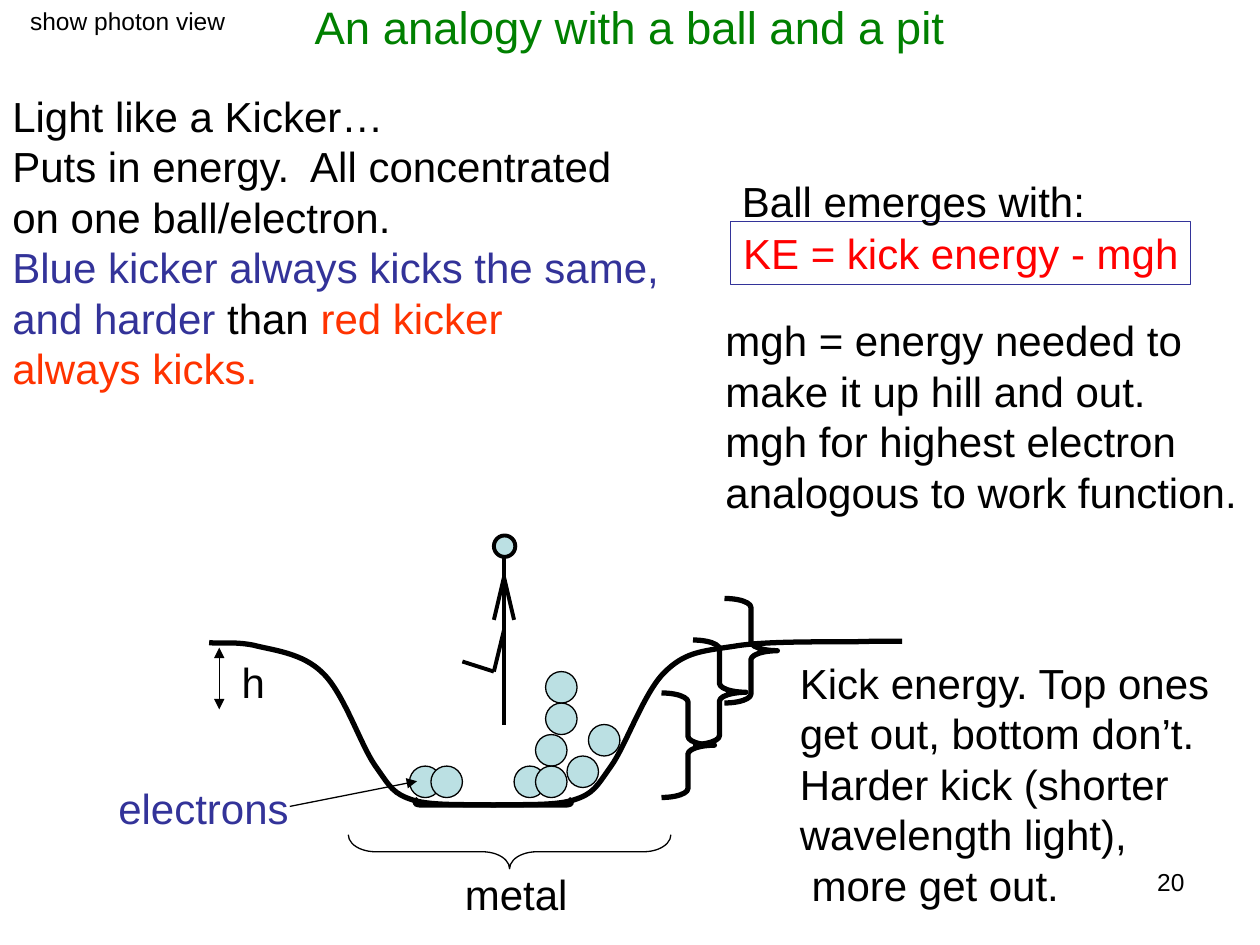
"""Build the slide comparing photoemission with kicking balls out of a pit."""
from dataclasses import dataclass

import pptx
import pptx.dml.color
import pptx.enum.shapes
import pptx.enum.text
import pptx.oxml
import pptx.oxml.ns
import pptx.util
from pptx.util import Inches

SHAPE = pptx.enum.shapes.MSO_SHAPE
ALIGN = pptx.enum.text.PP_ALIGN
FIT = pptx.enum.text.MSO_AUTO_SIZE
Point = tuple[float, float]


@dataclass(frozen=True)
class Theme:
    font: str = "Arial"
    black: str = "000000"
    green: str = "008000"
    blue: str = "333399"
    orange: str = "FF3300"
    red: str = "FF0000"
    ball: str = "BBE0E3"
    title: float = 26
    body: float = 24
    small: float = 14
    thin: float = 0.75
    limb: float = 2.25
    heavy: float = 3


THEME = Theme()


@dataclass(frozen=True)
class Run:
    text: str
    color: str = THEME.black


@dataclass(frozen=True)
class Note:
    left: float
    top: float
    width: float
    height: float
    lines: list[list[Run]]
    size: float = THEME.body
    align: ALIGN = ALIGN.LEFT
    border: str | None = None


@dataclass(frozen=True)
class Stroke:
    start: Point
    end: Point
    weight: float = THEME.limb
    arrows: tuple[str, ...] = ()


@dataclass(frozen=True)
class Outline:
    kind: SHAPE
    left: float
    top: float
    width: float
    height: float
    weight: float
    fill: str | None = None
    bend: float | None = None
    rotation: float = 0


def rgb(color: str) -> pptx.dml.color.RGBColor:
    """Turn a hex colour into a colour object."""
    return pptx.dml.color.RGBColor.from_string(color)


def drawing_element(tag: str, attributes: str = ""):
    """Make an empty drawing element."""
    return pptx.oxml.parse_xml(f'<a:{tag} {pptx.oxml.ns.nsdecls("a")} {attributes}/>')


def plain(*lines: str) -> list[list[Run]]:
    """Make one black run per line."""
    return [[Run(line)] for line in lines]


def write(frame, lines: list[list[Run]], size: float, align: ALIGN) -> None:
    """Write coloured lines into a text frame."""
    for number, runs in enumerate(lines):
        paragraph = frame.add_paragraph() if number else frame.paragraphs[0]
        paragraph.alignment = align
        for part in runs:
            run = paragraph.add_run()
            run.text = part.text
            font_format = {"name": THEME.font, "size": pptx.util.Pt(size)}
            for key, value in font_format.items():
                setattr(run.font, key, value)
            run.font.color.rgb = rgb(part.color)


def draw_note(shapes, note: Note) -> None:
    """Draw a text box, bordered when the note asks for it."""
    box = shapes.add_textbox(*map(Inches, (note.left, note.top, note.width, note.height)))
    right = note.align == ALIGN.RIGHT
    frame_format = {
        "word_wrap": right,
        "auto_size": FIT.NONE if right else FIT.SHAPE_TO_FIT_TEXT,
        "margin_right": Inches(0.1 if right else 0.05)}
    for key, value in frame_format.items():
        setattr(box.text_frame, key, value)
    write(box.text_frame, note.lines, note.size, note.align)
    if note.border:
        box.line.color.rgb = rgb(note.border)
        box.line.width = pptx.util.Pt(THEME.thin)


def ink(shape, weight: float, fill: str | None = None) -> None:
    """Give a shape a black line, an optional fill and no shadow."""
    shape.shadow.inherit = False
    shape.line.color.rgb = rgb(THEME.black)
    shape.line.width = pptx.util.Pt(weight)
    if fill:
        shape.fill.solid()
        shape.fill.fore_color.rgb = rgb(fill)
    else:
        shape.fill.background()


def draw_outline(shapes, item: Outline) -> None:
    """Draw a ball, a head or a brace."""
    bounds = map(Inches, (item.left, item.top, item.width, item.height))
    shape = shapes.add_shape(item.kind, *bounds)
    shape.rotation = item.rotation
    if item.bend is not None:
        shape.adjustments[0] = item.bend
    ink(shape, item.weight, item.fill)


def draw_stroke(shapes, stroke: Stroke) -> None:
    """Draw a straight line with its arrowheads."""
    ends = map(Inches, (*stroke.start, *stroke.end))
    line = shapes.add_connector(pptx.enum.shapes.MSO_CONNECTOR.STRAIGHT, *ends)
    line.line.color.rgb = rgb(THEME.black)
    line.line.width = pptx.util.Pt(stroke.weight)
    for tag in stroke.arrows:
        line.line._get_or_add_ln().append(drawing_element(tag, 'type="triangle"'))
    line._element.spPr.append(drawing_element("effectLst"))


def draw_curve(shapes, knots: list[Point]) -> None:
    """Draw a chain of cubic Bézier segments as one open outline."""
    builder = shapes.build_freeform(*map(Inches, knots[0]), scale=1.0)
    builder.add_line_segments([tuple(map(Inches, knot)) for knot in knots[1:]], close=False)
    shape = builder.convert_to_shape()
    segments = list(shape._element.iter(pptx.oxml.ns.qn("a:lnTo")))
    for first in range(0, len(segments), 3):
        bezier = drawing_element("cubicBezTo")
        segments[first].addprevious(bezier)
        for segment in segments[first:first + 3]:
            bezier.append(segment[0])
            segment.getparent().remove(segment)
    ink(shape, THEME.heavy)


RIGHT_SLOPE = [
    (3.32, 6.34), (3.32, 6.35), (3.25, 6.38), (3.34, 6.39), (3.44, 6.39), (3.68, 6.39),
    (3.88, 6.39), (4.09, 6.38), (4.39, 6.4), (4.55, 6.35), (4.71, 6.3), (4.73, 6.25),
    (4.85, 6.08), (4.97, 5.91), (5.11, 5.5), (5.27, 5.34), (5.43, 5.18), (5.55, 5.17),
    (5.82, 5.13), (6.1, 5.08), (6.69, 5.1), (6.91, 5.09), (7.13, 5.09), (7.17, 5.09), (7.16, 5.09)]
LEFT_SLOPE = [
    (4.51, 6.34), (4.51, 6.35), (4.58, 6.38), (4.49, 6.39), (4.4, 6.39), (4.15, 6.39),
    (3.95, 6.39), (3.75, 6.38), (3.44, 6.4), (3.28, 6.35), (3.12, 6.3), (3.1, 6.25),
    (2.98, 6.08), (2.86, 5.91), (2.73, 5.5), (2.56, 5.34), (2.4, 5.18), (2.16, 5.16),
    (2.01, 5.12), (1.86, 5.09), (1.73, 5.11), (1.66, 5.1)]
HIP, SHOULDER = (4, 5), (4, 4.58)
KNEE = (3.92, 5.33)
LIMBS = [
    Stroke(HIP, (4, 5.75)), Stroke(HIP, KNEE), Stroke((3.67, 5.25), KNEE),
    Stroke((4, 4.25), HIP), Stroke(SHOULDER, (3.92, 4.92)), Stroke(SHOULDER, (4.08, 4.92))]
POINTERS = [
    Stroke((1.74, 5.63), (1.74, 5.14), THEME.thin, ("headEnd", "tailEnd")),
    Stroke((2.3, 6.4), (3.31, 6.2), THEME.thin, ("tailEnd",))]
BALLS = [(4.08, 6.08), (4.25, 5.83), (3.25, 6.08), (3.42, 6.08), (4.33, 5.33),
         (4.33, 5.58), (4.67, 5.75), (4.25, 6.08), (4.5, 6)]
KICKS = [(5.75, 4.75), (5.5, 5.08), (5.25, 5.5)]
OUTLINES = [
    Outline(SHAPE.OVAL, 3.92, 4.25, 0.17, 0.17, THEME.limb, THEME.ball),
    *(Outline(SHAPE.OVAL, x, y, 0.25, 0.25, THEME.thin, THEME.ball) for x, y in BALLS),
    *(Outline(SHAPE.RIGHT_BRACE, x, y, 0.42, 0.83, THEME.heavy, bend=0.17) for x, y in KICKS),
    Outline(SHAPE.LEFT_BRACE, 3.91, 5.48, 0.27, 2.56, THEME.thin, bend=0.8, rotation=270)]
NOTES = [
    Note(7.17, 6.83, 2.33, 0.52, plain("20"), THEME.small, ALIGN.RIGHT),
    Note(0, 0.67, 5.33, 2.5, [
        *plain("Light like a Kicker…", "Puts in energy.  All concentrated", "on one ball/electron."),
        [Run("Blue kicker always kicks the same,", THEME.blue)],
        [Run("and harder ", THEME.blue), Run("than "), Run("red kicker", THEME.orange)],
        [Run("always kicks.", THEME.orange)]]),
    Note(5.8, 1.76, 3.65, 0.5, [[Run("KE = kick energy - mgh", THEME.red)]], border=THEME.blue),
    Note(5.79, 1.34, 2.92, 0.5, plain("Ball emerges with:")),
    Note(5.66, 2.45, 4.26, 1.7, plain("mgh = energy needed to", "make it up hill and out.",
                                      "mgh for highest electron", "analogous to work function.")),
    Note(6.25, 5.17, 3.51, 2.1, plain("Kick energy. Top ones", "get out, bottom don’t.",
                                      "Harder kick (shorter", "wavelength light),", " more get out.")),
    Note(0.14, 0, 1.75, 0.34, plain("show photon view"), THEME.small),
    Note(1.82, 5.16, 0.38, 0.5, plain("h")),
    Note(3.59, 6.84, 1.01, 0.5, plain("metal")),
    Note(0.84, 6.16, 1.55, 0.5, [[Run("electrons", THEME.blue)]])]


def main() -> None:
    """Assemble and save the slide."""
    deck = pptx.Presentation()
    deck.slide_width, deck.slide_height = Inches(10), Inches(7.5)
    slide = deck.slides.add_slide(deck.slide_layouts[5])
    title = slide.shapes.title
    title_place = {"left": 0.5, "top": 0, "width": 9, "height": 0.42}
    for key, value in title_place.items():
        setattr(title, key, Inches(value))
    title_format = {"auto_size": FIT.NONE, "vertical_anchor": pptx.enum.text.MSO_ANCHOR.MIDDLE}
    for key, value in title_format.items():
        setattr(title.text_frame, key, value)
    heading = [[Run("An analogy with a ball and a pit", THEME.green)]]
    write(title.text_frame, heading, THEME.title, ALIGN.CENTER)
    layers = ((draw_curve, (RIGHT_SLOPE, LEFT_SLOPE)), (draw_stroke, LIMBS),
              (draw_outline, OUTLINES), (draw_stroke, POINTERS), (draw_note, NOTES))
    for draw, items in layers:
        for item in items:
            draw(slide.shapes, item)
    deck.save("out.pptx")


if __name__ == "__main__":
    main()
